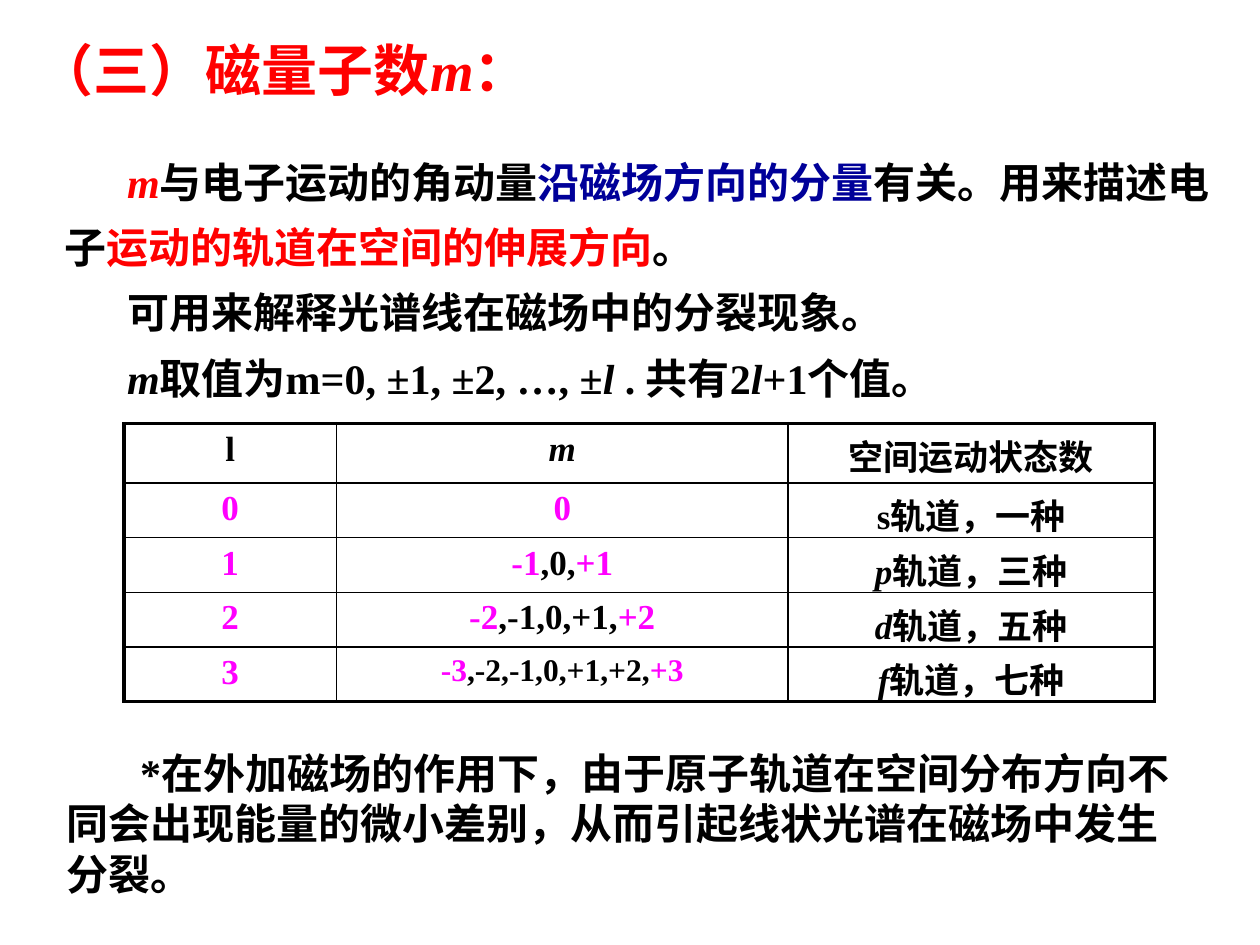
from dataclasses import dataclass

from lxml import etree
from pptx import Presentation
from pptx.dml.color import RGBColor
from pptx.enum.text import MSO_AUTO_SIZE, PP_ALIGN
from pptx.oxml.ns import qn
from pptx.util import Pt

CENTER = PP_ALIGN.CENTER
GROW = MSO_AUTO_SIZE.SHAPE_TO_FIT_TEXT


@dataclass(frozen=True)
class Theme:
    font: str = "Times New Roman"
    black: str = "000000"
    red: str = "FF0000"
    blue: str = "000099"
    pink: str = "FF00FF"
    title: float = 32
    body: float = 24
    cell: float = 20
    small: float = 18
    outer_line: float = 2.25
    inner_line: float = 1


THEME = Theme()


def write(para, *spans, size, color=THEME.black, align=None, indent=0, line=None):
    """Fill para; a span is a string or a (text, color, italic) tuple, None meaning the default."""
    para.alignment = align
    para.line_spacing = line
    if indent:
        para._p.get_or_add_pPr().set("indent", str(Pt(indent)))
    for span in spans:
        text, tint, italic = (span, None, False) if isinstance(span, str) else span
        run = para.add_run()
        run.text = text
        run.font.name = THEME.font
        run.font.size = Pt(size)
        run.font.bold = True
        run.font.italic = italic
        run.font.color.rgb = RGBColor.from_string(tint or color)


def add_text(page, box, paragraphs, **style):
    frame = page.shapes.add_textbox(*map(Pt, box)).text_frame
    frame.word_wrap = True
    frame.auto_size = GROW
    for index, spans in enumerate(paragraphs):
        para = frame.add_paragraph() if index else frame.paragraphs[0]
        write(para, *spans, **style)


def add_title(page, box):
    add_text(page, box, [["（三）磁量子数", ("m", None, True), "："]],
             size=THEME.title, color=THEME.red)


def add_explanation(page, box):
    add_text(page, box, [
        [("m", THEME.red, True), "与电子运动的角动量",
         ("沿磁场方向的分量", THEME.blue, False), "有关。用来描述电子",
         ("运动的轨道在空间的伸展方向", THEME.red, False), "。"],
        ["可用来解释光谱线在磁场中的分裂现象。"],
        [("m", None, True), "取值为m=0, ±1, ±2, …, ±", ("l ", None, True),
         ". 共有2", ("l", None, True), "+1个值。"],
    ], size=THEME.body, indent=36, line=1.3)


def set_borders(cell, widths):
    """Draw the borders of a cell; widths are left, right, top, bottom."""
    props = cell._tc.get_or_add_tcPr()
    for index, (side, width) in enumerate(zip("LRTB", widths)):
        border = etree.Element(qn(f"a:ln{side}"), w=str(Pt(width)))
        fill = etree.SubElement(border, qn("a:solidFill"))
        etree.SubElement(fill, qn("a:srgbClr"), val=THEME.black)
        props.insert(index, border)


def orbital_row(number, middle, letter, count, italic=True):
    """Give the spans of one row, with the extreme values of m in pink."""
    if number:
        values = [(f"-{number}", THEME.pink, False), middle,
                  (f"+{number}", THEME.pink, False)]
    else:
        values = [("0", THEME.pink, False)]
    return [[(str(number), THEME.pink, False)], values,
            [(letter, None, italic), f"轨道，{count}种"]]


def add_orbital_table(page, box):
    rows = [
        [["l"], [("m", None, True)], ["空间运动状态数"]],
        orbital_row(0, "", "s", "一", italic=False),
        orbital_row(1, ",0,", "p", "三"),
        orbital_row(2, ",-1,0,+1,", "d", "五"),
        orbital_row(3, ",-2,-1,0,+1,+2,", "f", "七"),
    ]
    widths = [121.5, 258, 209.5]
    header_height = 34
    row_height = (box[3] - header_height) / (len(rows) - 1)
    last_row, last_column = len(rows) - 1, len(widths) - 1

    table = page.shapes.add_table(len(rows), len(widths), *map(Pt, box)).table
    table.first_row = table.horz_banding = False
    for column, width in zip(table.columns, widths):
        column.width = Pt(width)
    for r, cells in enumerate(rows):
        table.rows[r].height = Pt(row_height if r else header_height)
        for c, spans in enumerate(cells):
            cell = table.cell(r, c)
            cell.fill.background()
            edges = (c == 0, c == last_column, r == 0, r == last_row)
            set_borders(cell, [THEME.outer_line if edge else THEME.inner_line
                               for edge in edges])
            longest = r == last_row and c == 1
            write(cell.text_frame.paragraphs[0], *spans, align=CENTER,
                  size=THEME.small if longest else THEME.cell)


def add_remark(page, box):
    add_text(page, box, [[
        "*在外加磁场的作用下，由于原子轨道在空间分布方向不同会出现能量的微小差别，"
        "从而引起线状光谱在磁场中发生分裂。"]], size=THEME.body, indent=42)


def main():
    deck = Presentation()
    deck.slide_width, deck.slide_height = Pt(720), Pt(540)
    page = deck.slides.add_slide(deck.slide_layouts[6])
    add_explanation(page, (29.5, 77, 690.5, 157))
    add_title(page, (14.4, 16.5, 296.5, 45.5))
    add_orbital_table(page, (70.8, 242, 589, 158.8))
    add_remark(page, (31, 423.5, 660, 93.5))
    deck.save("out.pptx")


if __name__ == "__main__":
    main()
